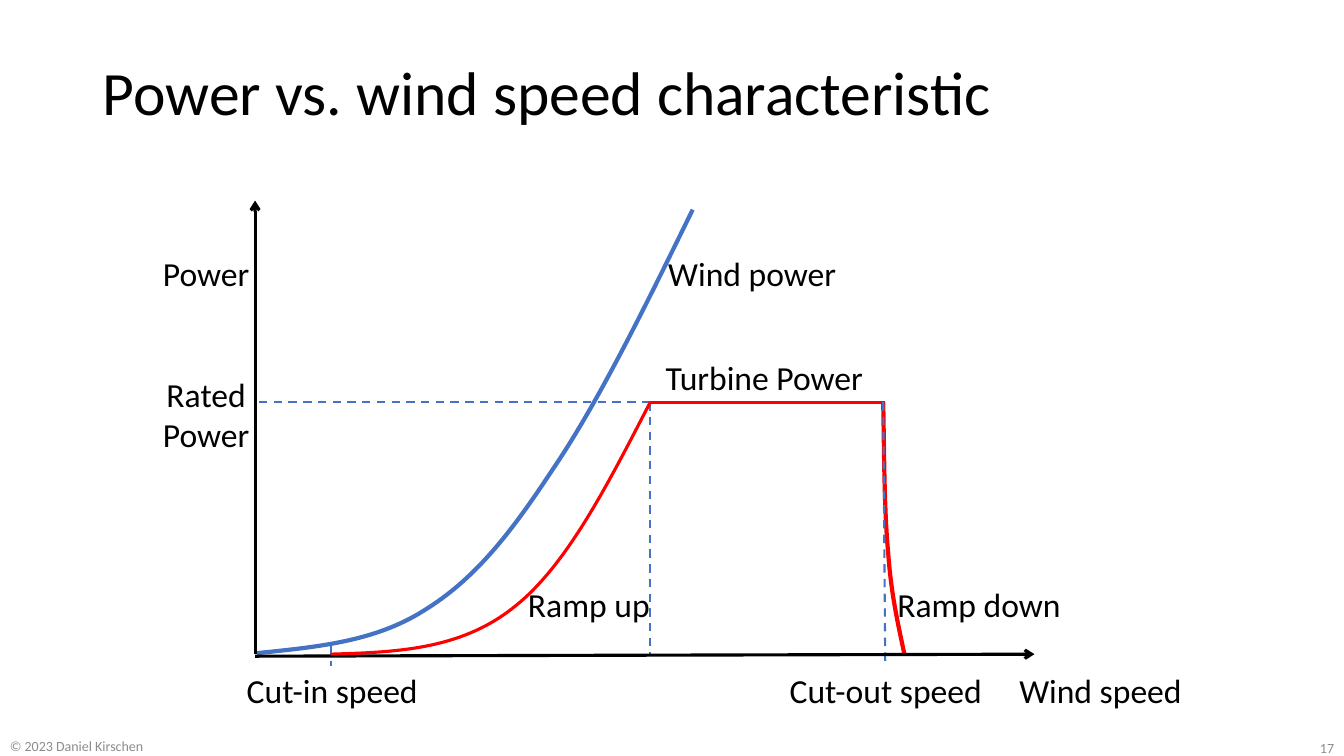
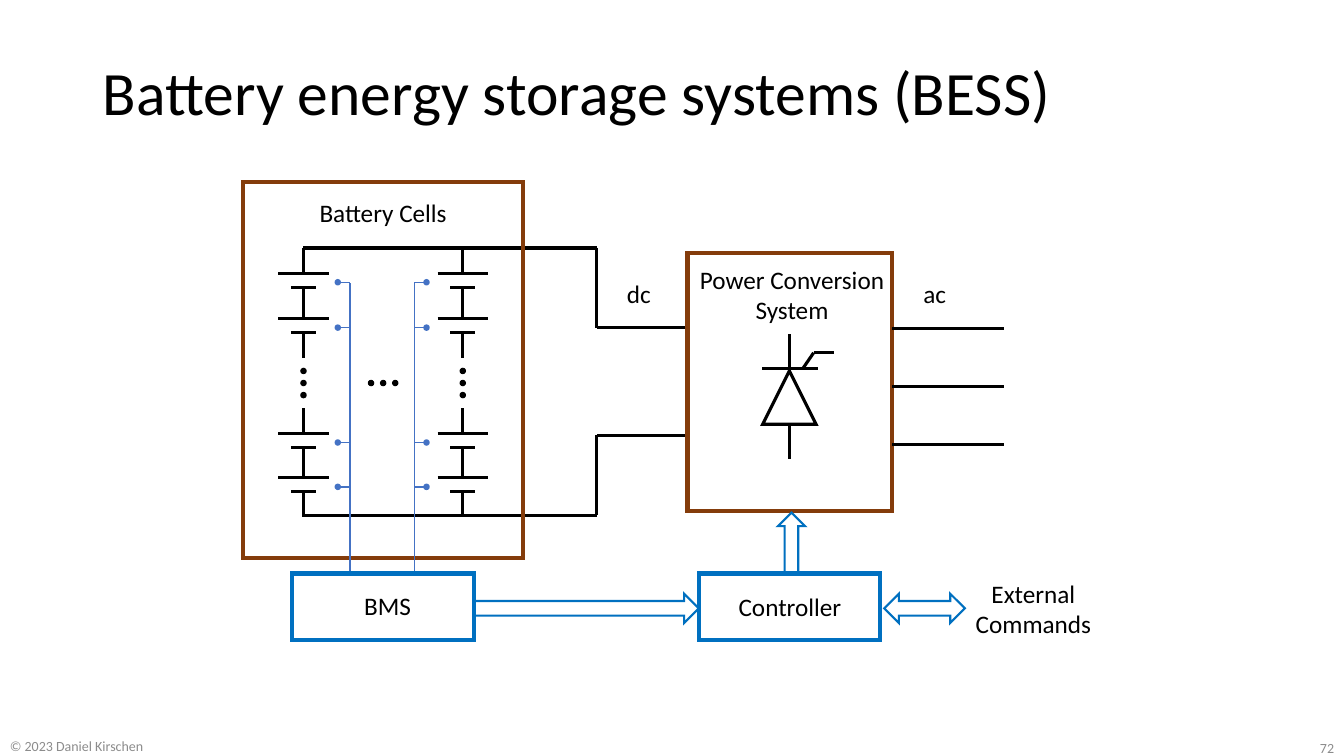
from dataclasses import dataclass
from itertools import pairwise

from pptx import Presentation
from pptx.dml.color import RGBColor
from pptx.enum.dml import MSO_LINE
from pptx.enum.shapes import MSO_CONNECTOR, MSO_SHAPE
from pptx.enum.text import MSO_ANCHOR, MSO_AUTO_SIZE, PP_ALIGN
from pptx.oxml.ns import qn
from pptx.shapes.shapetree import GroupShapes
from pptx.util import Inches, Pt
from lxml.etree import SubElement

BLACK = RGBColor(0x00, 0x00, 0x00)
GRAY = RGBColor(0x8C, 0x8C, 0x8C)
RED = RGBColor(0xFF, 0x00, 0x00)
BLUE = RGBColor(0x44, 0x72, 0xC4)
BRIGHT_BLUE = RGBColor(0x00, 0x70, 0xC0)
BROWN = RGBColor(0x84, 0x3C, 0x0B)
FONT = "Calibri"
COPYRIGHT = "© 2023 Daniel Kirschen"
DOT_SIZE = 0.05


def write_text(shape, text, size, color=BLACK, align=PP_ALIGN.CENTER):
    frame = shape.text_frame
    frame.text = text
    for paragraph in frame.paragraphs:
        paragraph.alignment = align
        paragraph.font.name = FONT
        paragraph.font.size = Pt(size)
        paragraph.font.color.rgb = color
    return frame


def style_line(line, color, width, dashed=False):
    line.color.rgb = color
    line.width = Pt(width)
    if dashed:
        line.dash_style = MSO_LINE.DASH
    outline = line._get_or_add_ln()
    SubElement(outline, qn("a:miter"), lim="800000")
    return outline


@dataclass
class Region:
    shapes: GroupShapes
    left: float
    top: float

    def point(self, x, y):
        return Inches(self.left + x), Inches(self.top + y)

    def line(self, start, end, color=BLACK, width=2.25, dashed=False, arrow=False):
        connector = self.shapes.add_connector(
            MSO_CONNECTOR.STRAIGHT, *self.point(*start), *self.point(*end))
        outline = style_line(connector.line, color, width, dashed)
        if arrow:
            SubElement(outline, qn("a:tailEnd"), type="arrow")
        SubElement(connector._element.spPr, qn("a:effectLst"))

    def polyline(self, points, **style):
        for start, end in pairwise(points):
            self.line(start, end, **style)

    def curve(self, points, color, width):
        builder = self.shapes.build_freeform(*self.point(*points[0]))
        builder.add_line_segments([self.point(*p) for p in points[1:]], close=False)
        shape = builder.convert_to_shape()
        outline = shape._element.spPr.find(".//" + qn("a:pathLst"))[0]
        segments = outline.findall(qn("a:lnTo"))
        for first in range(0, len(segments), 3):
            bezier = SubElement(outline, qn("a:cubicBezTo"))
            for segment in segments[first:first + 3]:
                bezier.append(segment[0])
                outline.remove(segment)
        self.finish(shape, color, width)

    def finish(self, shape, color, width, filled=False):
        shape.shadow.inherit = False
        if filled:
            shape.fill.solid()
            shape.fill.fore_color.rgb = color
        else:
            shape.fill.background()
        style_line(shape.line, color, width)

    def block(self, kind, left, top, width, height, color, line_width, rotation=0):
        shape = self.shapes.add_shape(
            kind, *self.point(left, top), Inches(width), Inches(height))
        shape.rotation = rotation
        self.finish(shape, color, line_width)

    def dot(self, x, y, color=BLACK):
        shape = self.shapes.add_shape(
            MSO_SHAPE.OVAL, *self.point(x - DOT_SIZE / 2, y - DOT_SIZE / 2),
            Inches(DOT_SIZE), Inches(DOT_SIZE))
        self.finish(shape, color, 1, filled=True)

    def label(self, text, left, top, width, height, size, align=PP_ALIGN.CENTER):
        box = self.shapes.add_textbox(
            *self.point(left, top), Inches(width), Inches(height))
        write_text(box, text, size, align=align).word_wrap = False


def add_region(slide, left, top):
    return Region(slide.shapes.add_group_shape().shapes, left, top)


def add_footer(slide, text, left, top, width, height, align):
    box = slide.shapes.add_textbox(
        Inches(left), Inches(top), Inches(width), Inches(height))
    frame = write_text(box, text, 10, GRAY, align)
    frame.word_wrap = True
    frame.vertical_anchor = MSO_ANCHOR.MIDDLE


def add_titled_slide(presentation, title, number):
    slide = presentation.slides.add_slide(presentation.slide_layouts[5])
    placeholder = slide.shapes.title
    placeholder.left, placeholder.top = Inches(0.92), Inches(0.4)
    placeholder.width, placeholder.height = Inches(11.5), Inches(1.1)
    frame = write_text(placeholder, title, 44, align=PP_ALIGN.LEFT)
    frame.auto_size = MSO_AUTO_SIZE.NONE
    frame.vertical_anchor = MSO_ANCHOR.MIDDLE
    frame.paragraphs[0].line_spacing = 0.9
    add_footer(slide, COPYRIGHT, 0, 7.3, 3.64, 0.2, PP_ALIGN.LEFT)
    add_footer(slide, str(number), 10.33, 7.26, 3, 0.31, PP_ALIGN.RIGHT)
    return slide


def draw_power_curve(region):
    base, rated_power = 4.5, 2
    cut_in, rated_speed, cut_out = 0.75, 3.92, 6.23
    rated_point = (rated_speed, rated_power)
    trip_point = (cut_out, rated_power)

    region.line(rated_point, (cut_out + 0.02, rated_power), RED)
    region.curve([trip_point, (6.24, 2.54), (6.24, 3.08), (6.28, 3.5),
                  (6.31, 3.92), (6.38, 4.21), (6.44, base)], RED, 3)
    region.curve([(0.02, 4.49), (0.6, 4.43), (1.18, 4.38), (1.67, 4.07),
                  (2.16, 3.77), (2.51, 3.34), (2.95, 2.67),
                  (3.4, 2.01), (3.87, 1.05), (4.34, 0.09)], BLUE, 3)
    for start, end in (
        (trip_point, (cut_out + 0.02, base + 0.11)),
        (rated_point, (rated_speed, base)),
        (rated_point, (0, rated_power)),
        ((cut_in, base - 0.08), (cut_in, base + 0.12)),
    ):
        region.line(start, end, BLUE, 1.5, dashed=True)
    region.line((0, base), (0, 0), arrow=True)
    region.line((0, base + 0.02), (7.73, base), arrow=True)
    region.curve([(cut_in, base), (1.39, 4.48), (2.03, 4.46), (2.56, 4.04),
                  (3.09, 3.63), (3.5, 2.81), rated_point], RED, 2.25)

    for text, left, top, width in (
        ("Power", -1.02, 0.47, 1.07),
        ("Wind power", 3.99, 0.47, 1.88),
        ("Turbine Power", 3.96, 1.5, 2.18),
        ("Ramp up", 2.6, 3.75, 1.42),
        ("Ramp down", 6.26, 3.75, 1.84),
        ("Cut-in speed", -0.19, 4.61, 1.91),
        ("Cut-out speed", 5.19, 4.61, 2.13),
        ("Wind speed", 7.47, 4.61, 1.83),
    ):
        region.label(text, left, top, width, 0.5, 24)
    region.label("Rated\nPower", -1.02, 1.67, 1.07, 0.91, 24)


def draw_cell(region, x, y):
    short_y = y + 0.14
    region.line((x - 0.25, y), (x + 0.25, y))
    region.line((x - 0.125, short_y), (x + 0.125, short_y))
    region.line((x, y - 0.25), (x, y))
    region.line((x, short_y), (x, short_y + 0.25))


def draw_battery(region):
    cell_tops = (0.9, 1.35, 2.49, 2.93)
    string_centers = (0.6, 2.18)
    for x in string_centers:
        for y in cell_tops:
            draw_cell(region, x, y)
        for i in range(3):
            region.dot(x, 1.87 + 0.12 * i)
    for i in range(3):
        region.dot(1.27 + 0.12 * i, 1.99)

    for bus_y, terminal_y in ((0.65, 1.44), (3.3, 2.51)):
        region.polyline([(string_centers[0], bus_y), (3.51, bus_y),
                         (3.51, terminal_y), (4.41, terminal_y)])
    region.block(MSO_SHAPE.RECTANGLE, 0, 0, 2.78, 3.73, BROWN, 3)

    for sensor_x, tap_x, trunk_x in ((0.94, 0.97, 1.06), (1.82, 1.8, 1.7)):
        for y in cell_tops:
            region.dot(sensor_x, y + 0.09, BLUE)
            region.line((tap_x, y + 0.09), (trunk_x, y + 0.09), BLUE, 1)
        region.line((trunk_x, 1), (trunk_x, 3.88), BLUE, 1)

    region.label("Battery Cells", 0.65, 0.1, 1.48, 0.4, 18)
    region.label("dc", 3.71, 0.9, 0.44, 0.4, 18, PP_ALIGN.LEFT)


def draw_thyristor(region, x, y):
    region.line((x - 0.27, y), (x + 0.28, y))
    region.block(MSO_SHAPE.ISOSCELES_TRIANGLE, x - 0.265, y + 0.02, 0.53, 0.53, BLACK, 2.25)
    region.polyline([(x + 0.13, y), (x + 0.24, y - 0.16), (x + 0.44, y - 0.16)])
    region.line((x, y), (x, y - 0.35))
    region.line((x, y + 0.55), (x, y + 0.89))


def draw_conversion(region):
    width = 2.03
    region.block(MSO_SHAPE.RECTANGLE, 0, 0, width, 2.56, BROWN, 3)
    for phase in range(3):
        y = 0.75 + 0.575 * phase
        region.line((width, y), (width + 1.11, y))
    draw_thyristor(region, 1.01, 1.15)
    region.label("Power Conversion\nSystem", 0.01, 0.06, 2.05, 0.71, 18)
    region.label("ac", 2.24, 0.2, 0.43, 0.4, 18, PP_ALIGN.LEFT)


def draw_control(region):
    for left in (0, 4.03):
        region.block(MSO_SHAPE.RECTANGLE, left, 0, 1.8, 0.66, BRIGHT_BLUE, 3)
    for kind, left, top, width, height, rotation in (
        (MSO_SHAPE.RIGHT_ARROW, 1.81, 0.2, 2.22, 0.29, 0),
        (MSO_SHAPE.RIGHT_ARROW, 4.65, -0.44, 0.6, 0.27, 270),
        (MSO_SHAPE.LEFT_RIGHT_ARROW, 5.87, 0.2, 0.8, 0.29, 0),
    ):
        region.block(kind, left, top, width, height, BRIGHT_BLUE, 1.5, rotation)
    for text, left, top, width, height in (
        ("BMS", 0.61, 0.12, 0.67, 0.4),
        ("Controller", 4.32, 0.13, 1.23, 0.4),
        ("External\nCommands", 6.67, 0, 1.36, 0.71),
    ):
        region.label(text, left, top, width, height, 18)


def main():
    presentation = Presentation()
    presentation.slide_width = Inches(13.33)
    presentation.slide_height = Inches(7.5)

    slide = add_titled_slide(presentation, "Power vs. wind speed characteristic", 17)
    draw_power_curve(add_region(slide, 2.53, 1.99))

    slide = add_titled_slide(presentation, "Battery energy storage systems (BESS)", 72)
    draw_battery(add_region(slide, 2.41, 1.81))
    draw_conversion(add_region(slide, 6.82, 2.51))
    draw_control(add_region(slide, 2.9, 5.69))

    presentation.save("out.pptx")


if __name__ == "__main__":
    main()
